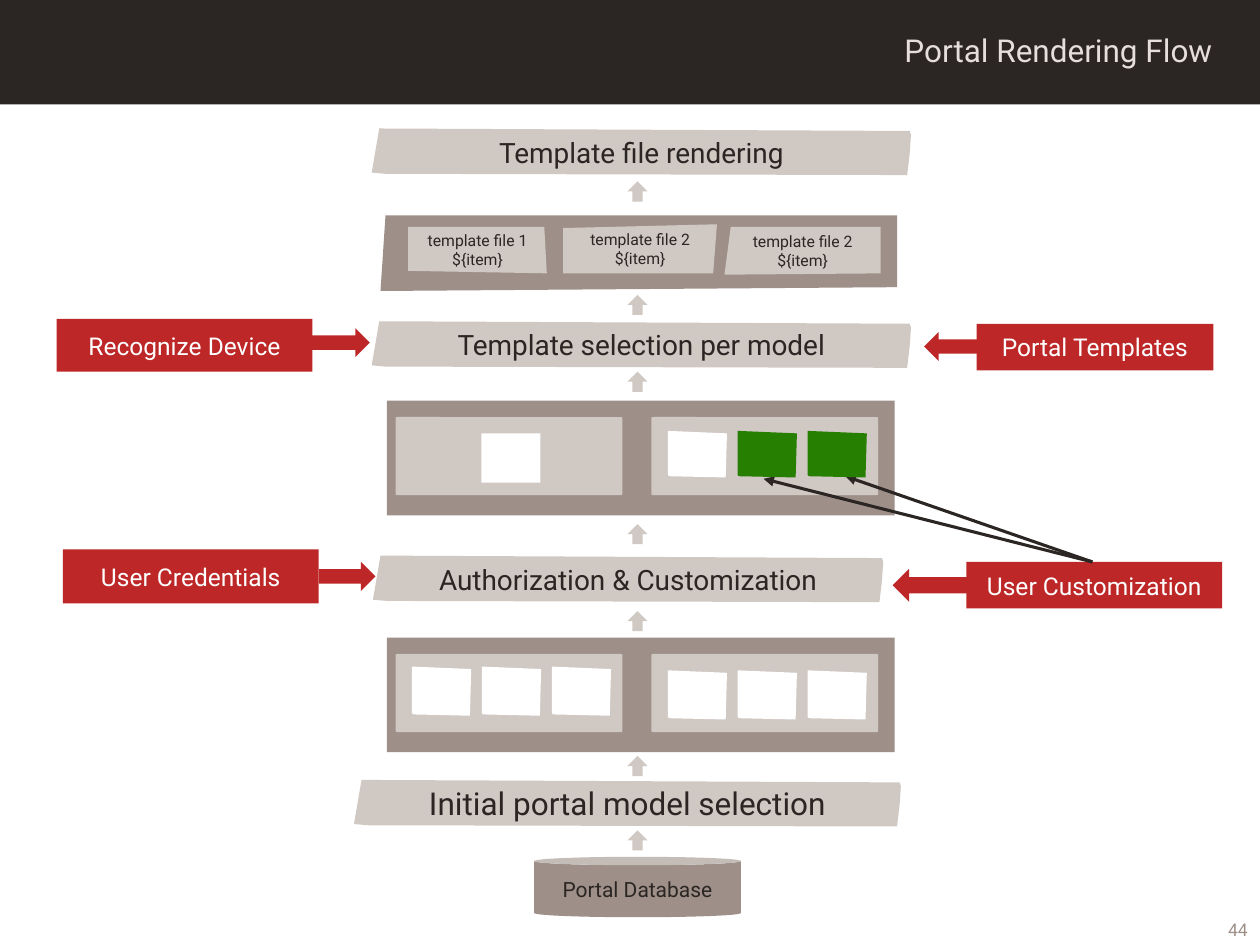
from pptx import Presentation
from pptx.dml.color import RGBColor
from pptx.enum.shapes import MSO_CONNECTOR as Connector, MSO_SHAPE as Shape
from pptx.enum.text import MSO_ANCHOR as Anchor, PP_ALIGN as Align
from pptx.oxml.ns import qn
from pptx.util import Inches, Pt
from lxml.etree import SubElement

DARK, TAUPE, SAND = "2B2623", "9E9088", "CFC8C3"
RED, GREEN, WHITE, PALE = "BD2727", "267F00", "FFFFFF", "E5DEDC"
FLOW_CENTER = 5.06


def color(value):
    return RGBColor.from_string(value)


def paint(shape, fill):
    shape.shadow.inherit = False
    shape.fill.solid()
    shape.fill.fore_color.rgb = color(fill)
    shape.line.fill.background()
    return shape


def write(shape, lines, size, ink=DARK, align=Align.CENTER, anchor=Anchor.MIDDLE, inset=(0, 0)):
    frame = shape.text_frame
    side, edge = map(Inches, inset)
    layout = {"word_wrap": True, "vertical_anchor": anchor, "margin_left": side,
              "margin_right": side, "margin_top": edge, "margin_bottom": edge}
    for name, value in layout.items():
        setattr(frame, name, value)
    for index, line in enumerate(lines):
        para = frame.add_paragraph() if index else frame.paragraphs[0]
        para.alignment = align
        span = para.add_run()
        span.text = line
        for name, value in {"name": "Roboto", "size": Pt(size)}.items():
            setattr(span.font, name, value)
        span.font.color.rgb = color(ink)


def add_preset(page, kind, box, fill):
    return paint(page.shapes.add_shape(kind, *map(Inches, box)), fill)


def add_outline(page, left, top, points, fill):
    """Draw a closed polygon from points relative to left and top."""
    (start_x, start_y), *others = [(Inches(left + x), Inches(top + y)) for x, y in points]
    builder = page.shapes.build_freeform(start_x, start_y)
    builder.add_line_segments(others, close=True)
    return paint(builder.convert_to_shape(), fill)


def add_header(page, title):
    add_preset(page, Shape.RECTANGLE, (0, 0, 10, 0.83), DARK)
    box = page.shapes.add_textbox(*map(Inches, (2.87, 0.2, 6.85, 0.4)))
    write(box, [title], 18, PALE, Align.RIGHT, Anchor.TOP, (0.1, 0.05))


def add_page_number(page, number):
    box = page.shapes.add_textbox(*map(Inches, (8.5, 7.26, 1.5, 0.23)))
    write(box, [number], 10, TAUPE, Align.RIGHT, inset=(0.1, 0.05))


def add_stage(page, left, top, width, text, size=16):
    points = [(0.11, 0.36), (width - 0.03, 0.37), (width - 0.01, 0.2), (width, 0.05),
              (width - 0.01, 0.02), (0.06, 0), (0, 0.35)]
    write(add_outline(page, left, top, points, SAND), [text], size)


def add_tile(page, left, top, height, fill):
    points = [(0.01, height - 0.01), (0.46, height), (0.47, 0.02), (0, 0), (0, height - 0.02)]
    add_outline(page, left, top, points, fill)


def add_model_panel(page, left, top):
    add_preset(page, Shape.RECTANGLE, (left, top, 4.03, 0.91), TAUPE)
    for offset in (0.07, 2.1):
        group = add_preset(page, Shape.ROUNDED_RECTANGLE, (left + offset, top + 0.13, 1.8, 0.62), SAND)
        group.adjustments[0] = 0.017


def add_tile_row(page, left, top, height, fills):
    for index, fill in enumerate(fills):
        add_tile(page, left + index * 0.555, top, height, fill)


def add_template_panel(page, left, top):
    add_outline(page, left, top, [(0.04, 0), (4.1, 0), (4.1, 0.57), (0, 0.6)], TAUPE)
    cards = [
        ("template file 1", [(0.22, 0.09), (1.3, 0.09), (1.32, 0.46), (0.22, 0.44)]),
        ("template file 2", [(1.45, 0.1), (2.67, 0.07), (2.64, 0.46), (1.45, 0.46)]),
        ("template file 2", [(2.78, 0.09), (3.97, 0.09), (3.97, 0.46), (2.73, 0.47)]),
    ]
    for name, points in cards:
        write(add_outline(page, left, top, points, SAND), [name, "${item}"], 9)


def add_input(page, box, text, arrow_box, rotation):
    """Draw a red label and its block arrow; arrow_box is taken before rotation."""
    arrow = add_preset(page, Shape.UP_ARROW, arrow_box, RED)
    arrow.rotation = rotation
    label = add_preset(page, Shape.RECTANGLE, box, RED)
    write(label, [text], 14, WHITE, inset=(0.14, 0.07))


def add_database(page, box):
    can = add_preset(page, Shape.CAN, box, TAUPE)
    can.adjustments[0] = 0.14
    write(can, ["Portal Database"], 12, inset=(0.14, 0.07))


def add_pointer(page, start, end):
    line = page.shapes.add_connector(Connector.STRAIGHT, *map(Inches, start + end))
    line.line.color.rgb = color(DARK)
    line.line.width = Pt(1.75)
    SubElement(line.line._get_or_add_ln(), qn("a:tailEnd"), type="triangle")
    SubElement(line._element.spPr, qn("a:effectLst"))


def main():
    deck = Presentation()
    deck.slide_width, deck.slide_height = Inches(10), Inches(7.5)
    page = deck.slides.add_slide(deck.slide_layouts[6])

    add_header(page, "Portal Rendering Flow")
    add_page_number(page, "44")

    add_stage(page, 2.95, 1.02, 4.28, "Template file rendering")
    add_template_panel(page, 3.02, 1.71)
    add_stage(page, 2.95, 2.55, 4.28, "Template selection per model")
    add_model_panel(page, 3.07, 3.18)
    add_preset(page, Shape.RECTANGLE, (3.82, 3.44, 0.47, 0.39), WHITE)
    add_stage(page, 2.96, 4.41, 4.05, "Authorization & Customization")
    add_model_panel(page, 3.07, 5.06)
    add_tile_row(page, 3.27, 5.29, 0.39, [WHITE] * 3)
    add_tile_row(page, 5.3, 5.32, 0.39, [WHITE] * 3)
    add_stage(page, 2.81, 6.19, 4.34, "Initial portal model selection", 18)
    add_database(page, (4.24, 6.8, 1.64, 0.48))
    for top in (1.44, 2.34, 2.95, 4.16, 4.85, 6, 6.59):
        add_preset(page, Shape.UP_ARROW, (FLOW_CENTER - 0.08, top, 0.16, 0.16), SAND)

    add_input(page, (0.45, 2.53, 2.03, 0.42), "Recognize Device", (2.59, 2.49, 0.23, 0.46), 90)
    add_input(page, (0.5, 4.36, 2.03, 0.43), "User Credentials", (2.64, 4.35, 0.23, 0.45), 90)
    add_input(page, (7.75, 2.57, 1.88, 0.37), "Portal Templates", (7.43, 2.54, 0.23, 0.42), 270)
    add_input(page, (7.67, 4.46, 2.03, 0.37), "User Customization", (7.25, 4.35, 0.26, 0.59), 270)

    for target in ((6.71, 3.78), (6.06, 3.8)):
        add_pointer(page, (8.67, 4.46), target)
    add_tile_row(page, 5.3, 3.42, 0.37, [WHITE, GREEN, GREEN])

    deck.save("out.pptx")


if __name__ == "__main__":
    main()
